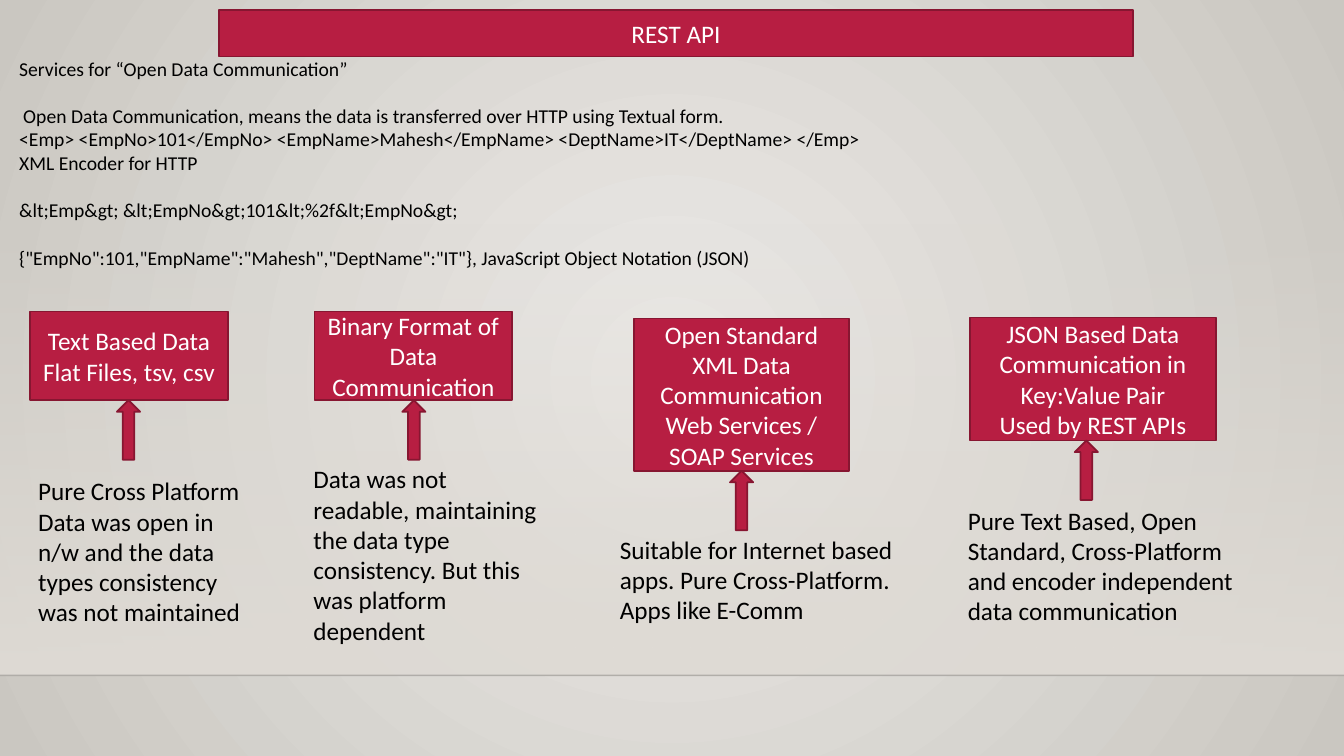
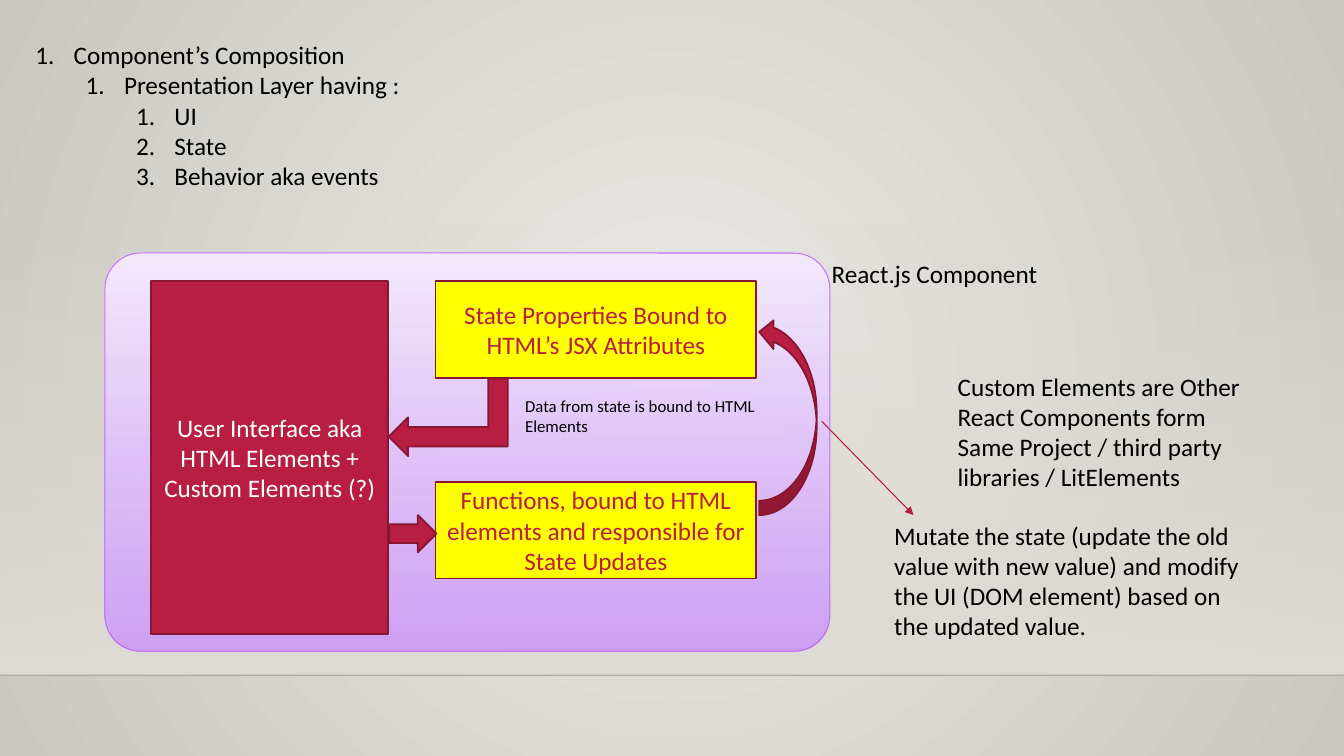
"""Build two slides on REST data communication and component composition."""
from dataclasses import dataclass

import pptx
import pptx.dml.color
import pptx.enum.dml
import pptx.enum.shapes
import pptx.enum.text
import pptx.oxml.ns
import pptx.util
from lxml import etree

Inches = pptx.util.Inches
Pt = pptx.util.Pt
qn = pptx.oxml.ns.qn
Shape = pptx.enum.shapes.MSO_SHAPE
Align = pptx.enum.text.PP_ALIGN
Anchor = pptx.enum.text.MSO_ANCHOR


@dataclass(frozen=True)
class Theme:
    font: str = "Calibri"
    text: str = "000000"
    light: str = "FFFFFF"
    accent: str = "B71E42"
    edge: str = "871631"
    highlight: str = "FFFF00"
    panel_edge: str = "BC72F0"
    panel: tuple = (("F4EAFD", 100), ("CE9CF7", 92))
    backdrop: tuple = (("ECEAE7", 100), ("CAC7C1", 100))
    band: tuple = (("DFDBD5", 0), ("DFDBD5", 100))
    normal: int = 18
    detail: int = 14
    note: int = 12
    edge_width: float = 1.25
    thin_width: float = 0.75


@dataclass(frozen=True)
class Line:
    text: str
    gap: float = 0
    indent: float = 0
    level: int = 0
    numbered: bool = False


THEME = Theme()
WIDTH, HEIGHT = 13.33, 7.5
FLOOR = 6.7
ARROW_SIZE = (0.23, 0.59)
HANG = 0.38
BLANK_LINE = 17

REST_TITLE = "REST API"
REST_LINES = [
    Line("Services for “Open Data Communication”"),
    Line("Open Data Communication, means the data is transferred over HTTP using Textual form.",
         gap=BLANK_LINE, indent=0.04),
    Line("<Emp> <EmpNo>101</EmpNo> <EmpName>Mahesh</EmpName> <DeptName>IT</DeptName> </Emp>"),
    Line("XML Encoder for HTTP"),
    Line("&lt;Emp&gt; &lt;EmpNo&gt;101&lt;%2f&lt;EmpNo&gt;", gap=BLANK_LINE),
    Line('{"EmpNo":101,"EmpName":"Mahesh","DeptName":"IT"}, JavaScript Object Notation (JSON)',
         gap=BLANK_LINE),
]
FORMATS = [
    {"box": (0.3, 3.09, 1.96, 0.88), "arrow_left": 1.16, "note": (0.28, 4.67, 2.37, 1.62),
     "label": ["Text Based Data", "Flat Files, tsv, csv"],
     "remark": ["Pure Cross Platform",
                "Data was open in n/w and the data types consistency was not maintained"]},
    {"box": (3.12, 3.09, 1.96, 0.88), "arrow_left": 3.99, "note": (3.01, 4.55, 2.46, 1.92),
     "label": ["Binary Format of Data Communication"],
     "remark": ["Data was not readable, maintaining the data type consistency. "
                "But this was platform dependent"]},
    {"box": (6.29, 3.16, 2.13, 1.51), "arrow_left": 7.24, "note": (6.05, 5.25, 3.06, 1.01),
     "label": ["Open Standard XML Data Communication", "Web Services / SOAP Services"],
     "remark": ["Suitable for Internet based apps. Pure Cross-Platform.", "Apps like E-Comm"]},
    {"box": (9.62, 3.15, 2.44, 1.22), "arrow_left": 10.66, "note": (9.5, 4.96, 3.12, 1.31),
     "label": ["JSON Based Data Communication in Key:Value Pair", "Used by REST APIs"],
     "remark": ["Pure Text Based, Open Standard, Cross-Platform and encoder independent "
                "data communication"]},
]
OUTLINE = [
    (0, "Component’s Composition"),
    (1, "Presentation Layer having :"),
    (2, "UI"),
    (2, "State"),
    (2, "Behavior aka events"),
]
COMPONENT_BOXES = [
    ((1.5, 2.79, 2.35, 3.5), THEME.accent, THEME.light,
     "User Interface aka HTML Elements + Custom Elements (?)"),
    ((4.32, 2.79, 3.18, 0.96), THEME.highlight, THEME.accent,
     "State Properties Bound to HTML’s JSX Attributes"),
    ((4.32, 4.78, 3.18, 0.96), THEME.highlight, THEME.accent,
     "Functions, bound to HTML elements and responsible for State Updates"),
]
COMPONENT_ARROWS = [
    (Shape.BENT_UP_ARROW, (4.06, 3.55, 0.77, 1.18), 90, True),
    (Shape.RIGHT_ARROW, (3.86, 5.11, 0.47, 0.37), 0, False),
    (Shape.CURVED_RIGHT_ARROW, (7.53, 3.15, 0.57, 1.96), 180, False),
]
COMPONENT_NOTES = [
    ((9.4, 3.63, 3.17, 1.31), THEME.normal,
     "Custom Elements are Other React Components form Same Project / third party "
     "libraries / LitElements"),
    ((8.15, 2.51, 2.7, 0.4), THEME.normal, "React.js Component"),
    ((5.11, 3.88, 2.59, 0.5), THEME.note, "Data from state is bound to HTML Elements"),
    ((8.77, 5.11, 3.71, 1.31), THEME.normal,
     "Mutate the state (update the old value with new value) and modify the UI "
     "(DOM element) based on the updated value."),
]


def rgb(value):
    return pptx.dml.color.RGBColor.from_string(value)


def inches(values):
    return [Inches(value) for value in values]


def set_alpha(color_element, percent):
    etree.SubElement(color_element, qn("a:alpha")).set("val", str(percent * 1000))


def paint(shape, fill, edge=THEME.edge, width=THEME.edge_width):
    shape.fill.solid()
    shape.fill.fore_color.rgb = rgb(fill)
    shape.line.color.rgb = rgb(edge)
    shape.line.width = Pt(width)


def paint_gradient(fill, holder, stops, radial=False):
    fill.gradient()
    fill.gradient_angle = 270
    gradient = next(holder.iter(qn("a:gradFill")))
    for position, (stop, (color, alpha)) in enumerate(zip(fill.gradient_stops, stops)):
        stop.position = position
        stop.color.rgb = rgb(color)
        if alpha < 100:
            set_alpha(list(gradient.iter(qn("a:srgbClr")))[position], alpha)
    if radial:
        gradient.remove(gradient.find(qn("a:lin")))
        circle = etree.SubElement(gradient, qn("a:path"), path="circle")
        etree.SubElement(circle, qn("a:fillToRect"), l="50000", t="50000", r="50000", b="50000")


def write(shape, lines, size=THEME.normal, color=THEME.text, align=Align.LEFT, anchor=Anchor.TOP):
    frame = shape.text_frame
    frame.word_wrap = True
    frame.auto_size = pptx.enum.text.MSO_AUTO_SIZE.NONE
    frame.vertical_anchor = anchor
    for index, line in enumerate(lines):
        line = Line(line) if isinstance(line, str) else line
        para = frame.paragraphs[0] if index == 0 else frame.add_paragraph()
        para.level = line.level
        para.alignment = align
        para.space_before = Pt(line.gap)
        properties = para._p.get_or_add_pPr()
        properties.set("marL", str(Inches(line.indent)))
        properties.set("indent", str(Inches(-HANG if line.numbered else 0)))
        if line.numbered:
            etree.SubElement(properties, qn("a:buFont"), typeface="+mj-lt")
            etree.SubElement(properties, qn("a:buAutoNum"), type="arabicPeriod")
        else:
            etree.SubElement(properties, qn("a:buNone"))
        span = para.add_run()
        span.text = line.text
        span.font.name = THEME.font
        span.font.size = Pt(size)
        span.font.color.rgb = rgb(color)


def place(shape, area):
    shape.left, shape.top, shape.width, shape.height = inches(area)


def add_shape(page, kind, area, fill=THEME.accent):
    shape = page.shapes.add_shape(kind, *inches(area))
    shape.shadow.inherit = False
    paint(shape, fill)
    return shape


def add_label(page, area, lines, fill=THEME.accent, color=THEME.light):
    box = add_shape(page, Shape.RECTANGLE, area, fill)
    write(box, lines, color=color, align=Align.CENTER, anchor=Anchor.MIDDLE)


def add_note(page, area, lines, size=THEME.normal):
    write(page.shapes.add_textbox(*inches(area)), lines, size=size)


def add_line(page, start, end, color, width):
    line = page.shapes.add_connector(
        pptx.enum.shapes.MSO_CONNECTOR.STRAIGHT, *inches(start + end))
    line.line.color.rgb = rgb(color)
    line.line.width = Pt(width)
    etree.SubElement(line.element.spPr, qn("a:effectLst"))
    return line


def style_master(deck, page):
    master = deck.slide_master
    paint_gradient(master.background.fill, master.element, THEME.backdrop, radial=True)
    band = add_shape(page, Shape.RECTANGLE, (0, 2.21, WIDTH, FLOOR - 2.21))
    paint_gradient(band.fill, band.element, THEME.band)
    band.line.fill.background()
    floor = add_line(page, (0, FLOOR), (WIDTH, FLOOR), THEME.text, 1)
    set_alpha(next(floor.element.iter(qn("a:srgbClr"))), 20)
    for index, shape in enumerate((band, floor)):
        next(shape.element.iter(qn("p:cNvPr"))).set("id", str(101 + index))
        master.shapes.element.insert(2 + index, shape.element)


def build_rest(page):
    title, body = page.placeholders
    place(title, (2.17, 0.1, 9.07, 0.46))
    paint(title, THEME.accent)
    write(title, [REST_TITLE], color=THEME.light, align=Align.CENTER, anchor=Anchor.MIDDLE)
    place(body, (0.09, 0.51, 12.78, 2.22))
    write(body, REST_LINES, size=THEME.detail)
    for item in FORMATS:
        left, top, width, height = item["box"]
        add_label(page, item["box"], item["label"])
        add_shape(page, Shape.UP_ARROW, (item["arrow_left"], top + height, *ARROW_SIZE))
        add_note(page, item["note"], item["remark"])


def build_component(page):
    title, body = page.placeholders
    title.element.getparent().remove(title.element)
    place(body, (0.25, 0.34, 12.78, 1.62))
    write(body, [Line(text, indent=HANG + level * 0.5, level=level, numbered=True)
                 for level, text in OUTLINE])
    panel = add_shape(page, Shape.ROUNDED_RECTANGLE, (1.04, 2.51, 7.19, 3.95))
    panel.adjustments[0] = 0.09
    paint(panel, THEME.light, THEME.panel_edge, THEME.thin_width)
    paint_gradient(panel.fill, panel.element, THEME.panel)
    for area, fill, color, text in COMPONENT_BOXES:
        add_label(page, area, [text], fill, color)
    for kind, area, turn, flipped in COMPONENT_ARROWS:
        arrow = add_shape(page, kind, area)
        arrow.rotation = turn
        if flipped:
            next(arrow.element.iter(qn("a:xfrm"))).set("flipV", "1")
    pointer = add_line(page, (8.15, 4.18), (9.06, 5.11), THEME.accent, THEME.thin_width)
    etree.SubElement(next(pointer.element.iter(qn("a:ln"))), qn("a:tailEnd"), type="triangle")
    for area, size, text in COMPONENT_NOTES:
        add_note(page, area, [text], size)


def main():
    deck = pptx.Presentation()
    deck.slide_width, deck.slide_height = inches((WIDTH, HEIGHT))
    layout = deck.slide_layouts[1]
    rest, component = [deck.slides.add_slide(layout) for _ in range(2)]
    style_master(deck, rest)
    build_rest(rest)
    build_component(component)
    deck.save("out.pptx")


if __name__ == "__main__":
    main()
